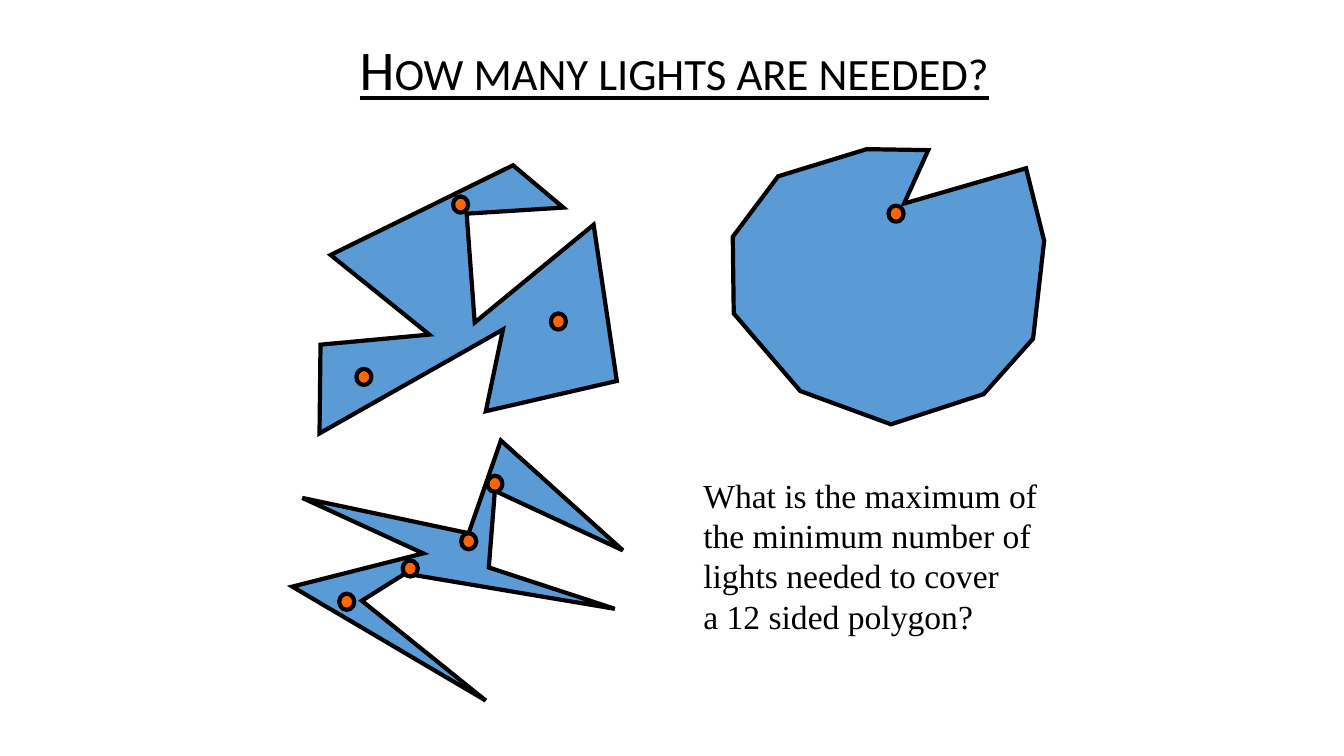
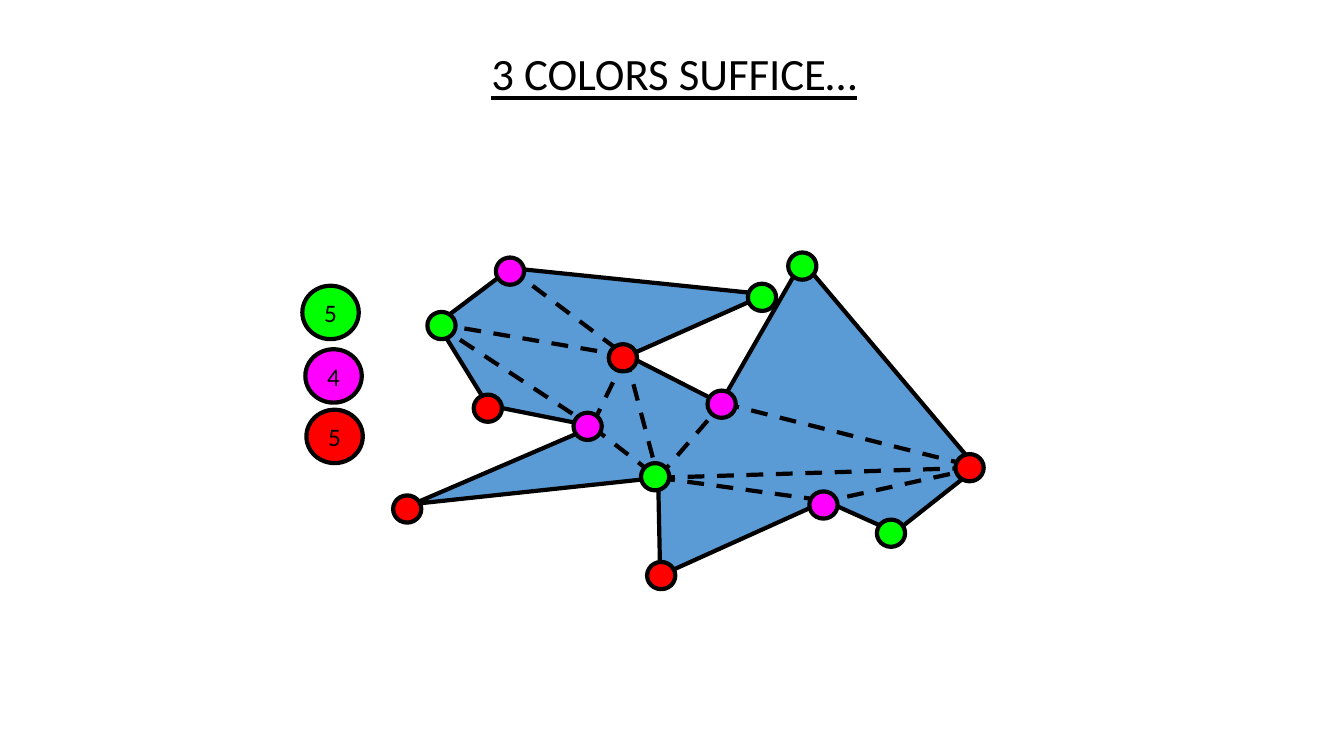
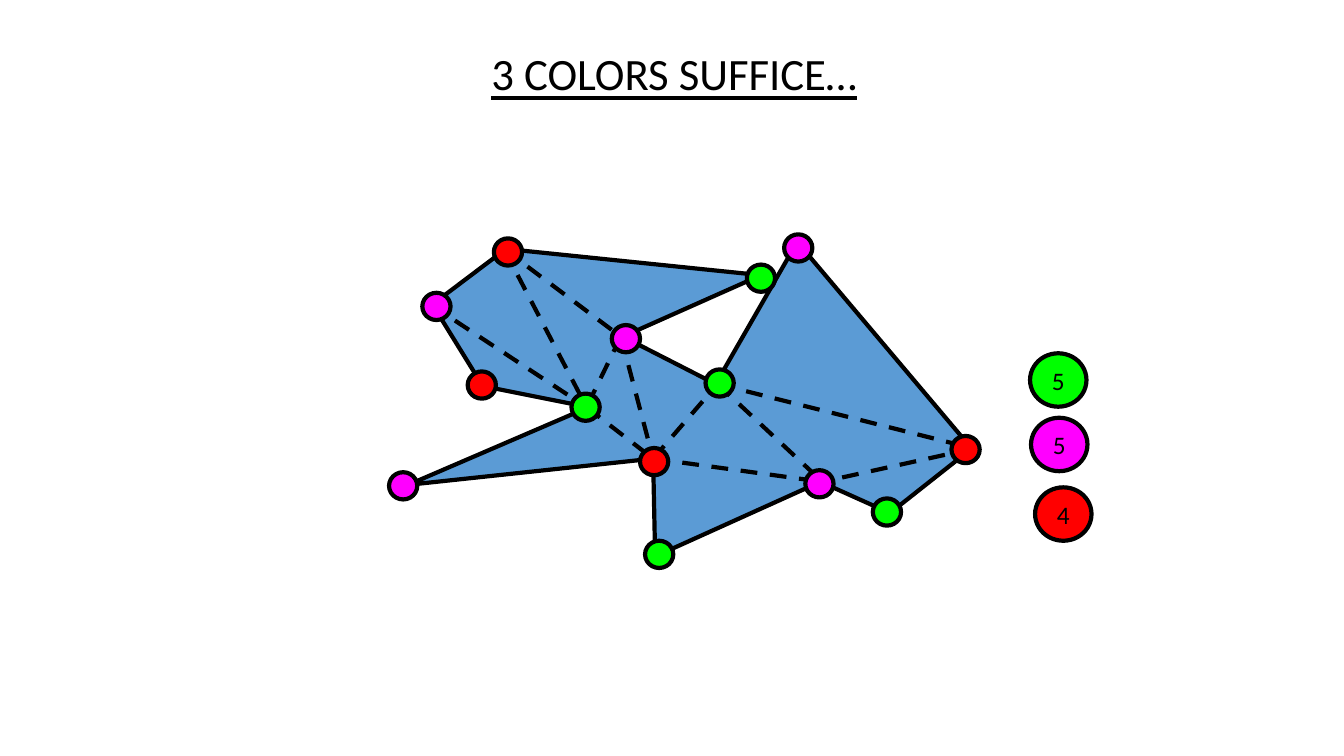
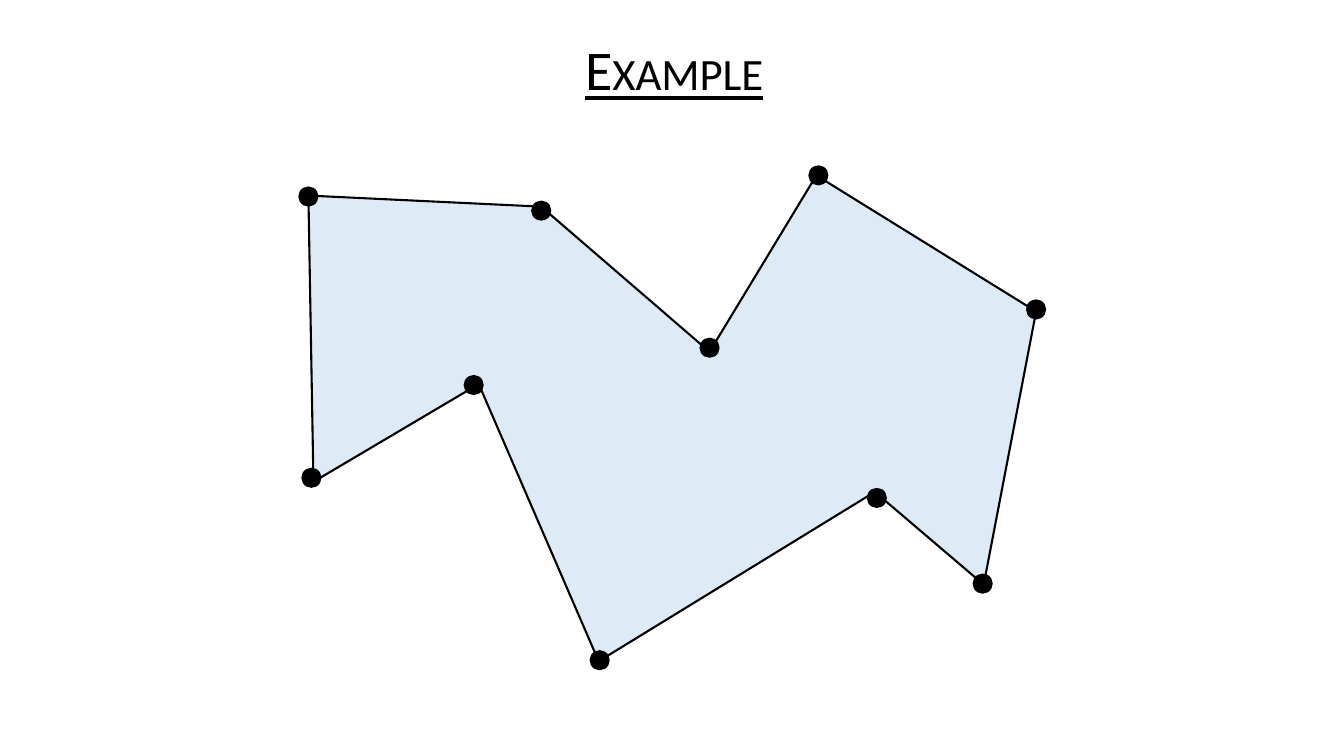
from lxml.etree import SubElement
from pptx import Presentation
from pptx.dml.color import RGBColor
from pptx.enum.dml import MSO_LINE
from pptx.enum.shapes import MSO_CONNECTOR, MSO_SHAPE
from pptx.enum.text import MSO_ANCHOR, MSO_AUTO_SIZE, PP_ALIGN
from pptx.oxml.ns import qn
from pptx.util import Cm, Pt

BLACK = RGBColor(0x00, 0x00, 0x00)
BLUE = RGBColor(0x5B, 0x9B, 0xD5)
PALE_BLUE = RGBColor(0xDE, 0xEB, 0xF7)
ORANGE = RGBColor(0xFF, 0x66, 0x00)
GREEN = RGBColor(0x00, 0xFF, 0x00)
MAGENTA = RGBColor(0xFF, 0x00, 0xFF)
RED = RGBColor(0xFF, 0x00, 0x00)
VERTEX_COLORS = {"G": GREEN, "M": MAGENTA, "R": RED}

SANS, SERIF = "Calibri", "Times New Roman"
GRID = 2.54  # centimetres in one drawing unit
TITLE_BOX = (1.74, 0.29, 9.84, 0.85)
LIGHT_SIZE, VERTEX_SIZE = (0.15, 0.16), (0.28, 0.27)
TALLY_SIZE, POINT_SIZE = (0.56, 0.53), (0.2, 0.2)

# Rooms: box corner, outline and lights, both relative to the corner
ROOMS = [
    ((3.17, 1.64),
     [(0.11, 0.89), (1.09, 1.68), (0.01, 1.78), (0, 2.66), (1.82, 1.63), (1.65, 2.44),
      (2.95, 2.14), (2.72, 0.59), (1.54, 1.56), (1.46, 0.48), (2.42, 0.42), (1.92, 0)],
     [(2.37, 1.55), (0.44, 2.1), (1.4, 0.39)]),
    ((7.27, 1.48),
     [(0.45, 0.27), (0, 0.87), (0.01, 1.63), (0.67, 2.4), (1.57, 2.73), (2.49, 2.43),
      (2.98, 1.88), (3.09, 0.91), (2.91, 0.19), (1.7, 0.54), (1.94, 0.01), (1.33, 0)],
     [(1.62, 0.64)]),
    ((2.9, 4.37),
     [(0.1, 0.57), (1.3, 1.12), (0, 1.45), (1.92, 2.58), (0.69, 1.59), (1.12, 1.32),
      (3.2, 1.67), (1.95, 1.26), (2.01, 0.5), (3.28, 1.09), (2.07, 0), (1.75, 0.92)],
     [(0.54, 1.6), (1.17, 1.27), (1.75, 1), (2.01, 0.43)]),
]
QUESTION = ["What is the maximum of", "the minimum number of",
            "lights needed to cover", "a 12 sided polygon?"]

# Polygon to be coloured; vertices are referred to by index
GALLERY = [(3.5, 0.33), (0.97, 0.07), (0.24, 0.62), (0.74, 1.43), (1.79, 1.64),
           (0, 2.41), (2.43, 2.15), (2.45, 3.12), (4.09, 2.38), (4.78, 2.69),
           (5.59, 2.05), (3.86, 0), (3.05, 1.41), (2.13, 0.94)]
HUB_X = 2.43
SHARED_DIAGONALS = [(2, 4), (1, 13), (4, 6), (13, 6), (13, 4), (6, 12),
                    (12, 10), (10, 8), (6, 8)]
COLORINGS = [
    dict(corner=(4.1, 2.59), colors="GMGRMRGRMGRGMR",
         extra_diagonals=[(2, 13), (6, 10)],
         centers=[(3.46, 0.36), (0.96, 0.1), (0.28, 0.64), (0.74, 1.46), (1.73, 1.64),
                  (-0.06, 2.46), (2.4, 2.14), (2.46, 3.12), (4.07, 2.42), (4.74, 2.7),
                  (5.52, 2.05), (3.86, 0.05), (3.06, 1.42), (2.08, 0.96)],
         tallies=[(3.28, 3.1), (3.31, 3.73), (3.32, 4.33)]),
    dict(corner=(4.05, 2.4), colors="GRMRGMRGMGRMGM",
         extra_diagonals=[(1, 4), (12, 8)],
         centers=[(3.5, 0.36), (0.99, 0.1), (0.28, 0.64), (0.73, 1.42), (1.76, 1.64),
                  (-0.05, 2.42), (2.44, 2.18), (2.49, 3.1), (4.08, 2.4), (4.75, 2.68),
                  (5.53, 2.06), (3.87, 0.06), (3.09, 1.4), (2.16, 0.96)],
         tallies=[(10.5, 3.77), (10.51, 4.41), (10.55, 5.1)]),
]

EXAMPLE_OUTLINE = [(3.98, 1.75), (2.31, 0.31), (0, 0.2), (0.05, 3.04), (1.69, 2.07),
                   (2.88, 4.82), (5.62, 3.14), (6.7, 4.06), (7.22, 1.35), (5.04, 0)]
EXAMPLE_POINTS = [(0, 0.21), (2.31, 0.35), (3.98, 1.71), (1.64, 2.08), (0.03, 3),
                  (5.06, 0), (7.22, 1.33), (5.64, 3.2), (6.69, 4.05), (2.89, 4.81)]


def units(*values):
    return [Cm(value * GRID) for value in values]


def shifted(points, corner):
    return [(corner[0] + x, corner[1] + y) for x, y in points]


def set_line(line, width):
    line.color.rgb = BLACK
    line.width = Pt(width)


def add_run(paragraph, text, font_name, size):
    run = paragraph.add_run()
    run.text = text
    run.font.name = font_name
    run.font.size = Pt(size)
    run.font.color.rgb = BLACK
    return run


def add_titled_slide(deck, heading):
    slide = deck.slides.add_slide(deck.slide_layouts[5])
    title = slide.shapes.title
    title.left, title.top, title.width, title.height = units(*TITLE_BOX)
    frame = title.text_frame
    frame.auto_size = MSO_AUTO_SIZE.NONE
    frame.vertical_anchor = MSO_ANCHOR.MIDDLE
    frame.margin_left = Cm(0.4)
    paragraph = frame.paragraphs[0]
    paragraph.alignment = PP_ALIGN.CENTER
    paragraph.line_spacing = 0.9
    paragraph.space_before = Pt(10)
    run = add_run(paragraph, heading, SANS, 40)
    run.font.underline = True
    run.font._element.set("cap", "small")
    return slide


def add_polygon(shapes, points, fill, line_width):
    corners = [units(*point) for point in points]
    builder = shapes.build_freeform(*corners[0])
    builder.add_line_segments(corners[1:], close=True)
    polygon = builder.convert_to_shape()
    polygon.shadow.inherit = False
    polygon.fill.solid()
    polygon.fill.fore_color.rgb = fill
    set_line(polygon.line, line_width)
    # Sharp corners
    SubElement(polygon.line._get_or_add_ln(), qn("a:miter"), lim="800000")


def add_disc(shapes, center, size, fill, line_width=3):
    (x, y), (width, height) = center, size
    disc = shapes.add_shape(MSO_SHAPE.OVAL,
                            *units(x - width / 2, y - height / 2, width, height))
    disc.shadow.inherit = False
    disc.fill.solid()
    disc.fill.fore_color.rgb = fill
    if line_width:
        set_line(disc.line, line_width)
    else:
        disc.line.fill.background()
    return disc


def add_diagonal(shapes, start, end):
    diagonal = shapes.add_connector(MSO_CONNECTOR.STRAIGHT, *units(*start, *end))
    set_line(diagonal.line, 3)
    diagonal.line.dash_style = MSO_LINE.DASH
    SubElement(diagonal._element.spPr, qn("a:effectLst"))


def add_question(shapes, box):
    frame = shapes.add_textbox(*units(*box)).text_frame
    frame.word_wrap = False
    frame.auto_size = MSO_AUTO_SIZE.SHAPE_TO_FIT_TEXT
    for index, text in enumerate(QUESTION):
        paragraph = frame.add_paragraph() if index else frame.paragraphs[0]
        add_run(paragraph, text, SERIF, 24)


def add_tally(shapes, center, fill, count):
    frame = add_disc(shapes, center, TALLY_SIZE, fill).text_frame
    frame.word_wrap = False
    frame.vertical_anchor = MSO_ANCHOR.MIDDLE
    frame.paragraphs[0].alignment = PP_ALIGN.CENTER
    add_run(frame.paragraphs[0], str(count), SANS, 18)


def build_lights_slide(deck):
    shapes = add_titled_slide(deck, "How many lights are needed?").shapes
    for corner, outline, _ in ROOMS:
        add_polygon(shapes, shifted(outline, corner), BLUE, 3)
    add_question(shapes, (6.88, 4.66, 3.56, 1.72))
    for corner, _, lights in ROOMS:
        for center in shifted(lights, corner):
            add_disc(shapes, center, LIGHT_SIZE, ORANGE)


def build_coloring_slide(deck, corner, colors, extra_diagonals, centers, tallies):
    shapes = add_titled_slide(deck, "3 colors suffice…").shapes
    add_polygon(shapes, shifted(GALLERY, corner), BLUE, 3)
    # Diagonals end slightly outside the outline, away from the hub
    ends = shifted([(x + 0.02 * ((x > HUB_X) - (x < HUB_X)), y) for x, y in GALLERY],
                   corner)
    for start, end in SHARED_DIAGONALS + extra_diagonals:
        add_diagonal(shapes, ends[start], ends[end])
    for center, letter in zip(shifted(centers, corner), colors):
        add_disc(shapes, center, VERTEX_SIZE, VERTEX_COLORS[letter])
    # How often each colour is used
    for center, (letter, fill) in zip(tallies, VERTEX_COLORS.items()):
        add_tally(shapes, center, fill, colors.count(letter))


def build_example_slide(deck, corner):
    slide = add_titled_slide(deck, "Example")
    shapes = slide.shapes.add_group_shape().shapes
    add_polygon(shapes, shifted(EXAMPLE_OUTLINE, corner), PALE_BLUE, 1.5)
    for center in shifted(EXAMPLE_POINTS, corner):
        add_disc(shapes, center, POINT_SIZE, BLACK, line_width=0)


def main():
    deck = Presentation()
    deck.slide_width, deck.slide_height = Cm(33.87), Cm(19.05)
    build_lights_slide(deck)
    for coloring in COLORINGS:
        build_coloring_slide(deck, **coloring)
    build_example_slide(deck, (3.06, 1.74))
    deck.save("out.pptx")


if __name__ == "__main__":
    main()
